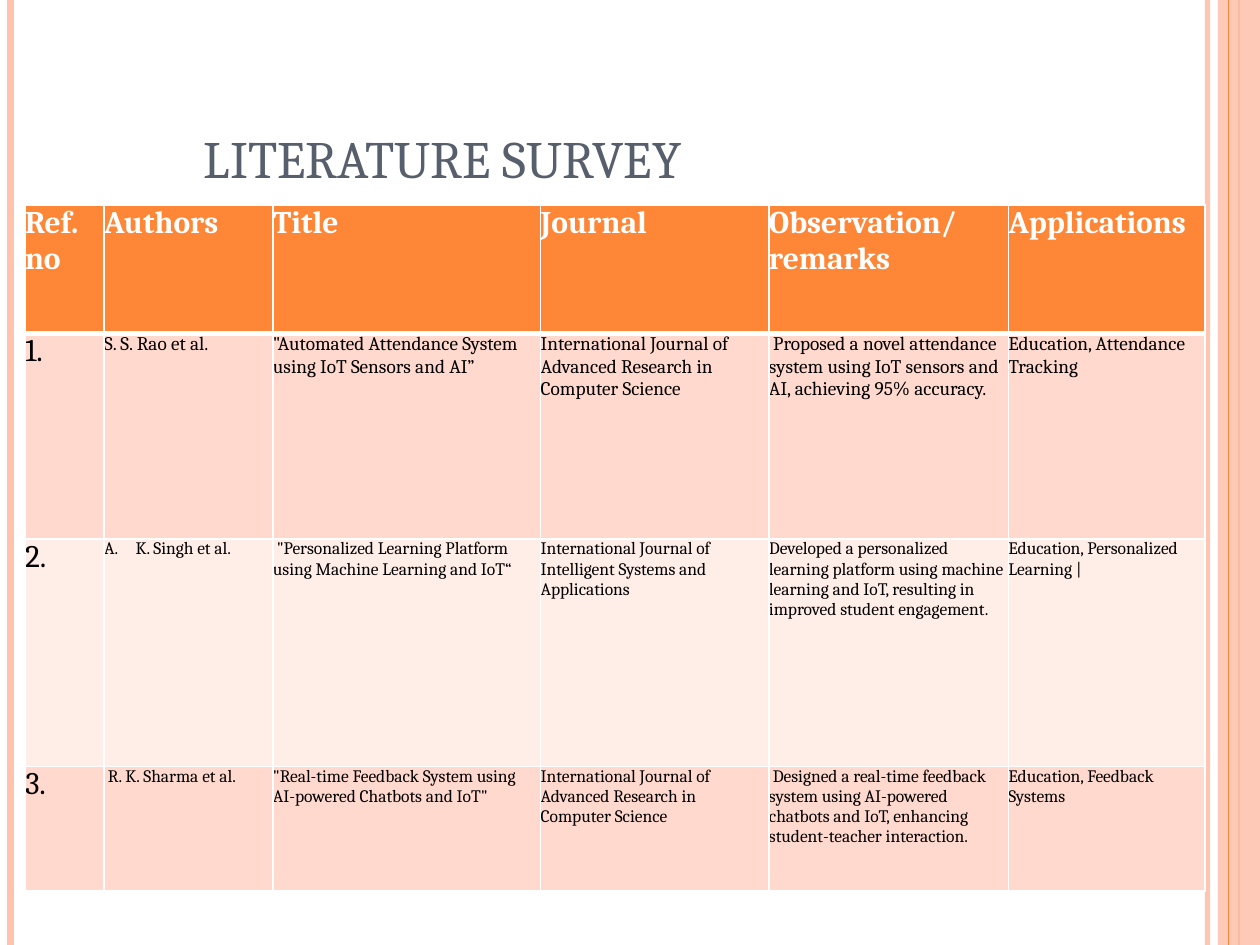
from lxml import etree
from pptx import Presentation
from pptx import util as u
from pptx.dml.color import RGBColor
from pptx.enum import shapes, text
from pptx.oxml.ns import qn

ORANGE = RGBColor(0xFE, 0x86, 0x37)
PEACH = RGBColor(0xFE, 0xC2, 0xAD)
ROSE = RGBColor(0xFF, 0xD9, 0xCD)
BLUSH = RGBColor(0xFF, 0xED, 0xE7)
SLATE = RGBColor(0x57, 0x5F, 0x6D)
WHITE = RGBColor(0xFF, 0xFF, 0xFF)
BLACK = RGBColor(0, 0, 0)

WIDTH, HEIGHT = 720, 540
COLUMNS = [45.2, 96.5, 153, 130.5, 136.8, 112.4]
ROWS = [73.5, 117.6, 130, 71.2]
BODY_SIZES = [11, 10, 10]
BODY_FILLS = [ROSE, BLUSH, ROSE]
HEADINGS = ["Ref.\nno", "Authors", "Title", "Journal",
            "Observation/remarks", "Applications"]
STUDIES = [
    ["1.", "S. S. Rao et al.",
     "\"Automated Attendance System using IoT Sensors and AI”",
     "International Journal of Advanced Research in Computer Science",
     " Proposed a novel attendance system using IoT sensors and AI, achieving 95% accuracy.",
     "Education, Attendance Tracking"],
    ["2.", "K. Singh et al.",
     " \"Personalized Learning Platform using Machine Learning and IoT“",
     "International Journal of Intelligent Systems and Applications",
     "Developed a personalized learning platform using machine learning and IoT, "
     "resulting in improved student engagement.",
     "Education, Personalized Learning |"],
    ["3.", " R. K. Sharma et al.",
     "\"Real-time Feedback System using AI-powered Chatbots and IoT\"",
     "International Journal of Advanced Research in Computer Science",
     " Designed a real-time feedback system using AI-powered chatbots and IoT, "
     "enhancing student-teacher interaction.",
     "Education, Feedback Systems"],
]


def write(frame, wording, size=10, color=BLACK, bold=False, font="Cambria", lettered=False):
    for index, line in enumerate(wording.split("\n")):
        paragraph = frame.add_paragraph() if index else frame.paragraphs[0]
        if lettered:
            properties = paragraph._p.get_or_add_pPr()
            properties.set("marL", str(u.Pt(18)))
            properties.set("indent", str(u.Pt(-18)))
            etree.SubElement(properties, qn("a:buAutoNum"), type="alphaUcPeriod")
        run = paragraph.add_run()
        run.text = line
        run.font.name = font
        run.font.size = u.Pt(size)
        run.font.bold = bold
        run.font.color.rgb = color


def set_opacity(element, percent):
    color = next(element.iter(qn("a:srgbClr")))
    etree.SubElement(color, qn("a:alpha"), val=str(percent * 1000))


class SlideBuilder:
    def __init__(self, slide, border=WHITE):
        self.slide = slide
        self.border = border

    def rule(self, x, color, weight, opacity=100):
        rule = self.slide.shapes.add_connector(
            shapes.MSO_CONNECTOR.STRAIGHT, u.Pt(x), 0, u.Pt(x), u.Pt(HEIGHT))
        rule.line.color.rgb = color
        rule.line.width = u.Pt(weight)
        etree.SubElement(rule._element.spPr, qn("a:effectLst"))
        if opacity < 100:
            set_opacity(rule._element.spPr, opacity)

    def band(self, left, width, color, opacity):
        band = self.slide.shapes.add_shape(
            shapes.MSO_SHAPE.RECTANGLE, u.Pt(left), 0, u.Pt(width), u.Pt(HEIGHT))
        band.shadow.inherit = False
        band.fill.solid()
        band.fill.fore_color.rgb = color
        band.line.fill.background()
        set_opacity(band._element.spPr, opacity)

    def title(self, wording, left, top, width, height):
        frame = self.slide.shapes.add_textbox(
            u.Pt(left), u.Pt(top), u.Pt(width), u.Pt(height)).text_frame
        frame.word_wrap = True
        frame.vertical_anchor = text.MSO_ANCHOR.BOTTOM
        write(frame, wording, size=30, color=SLATE)

    def cell_borders(self, cell, top, bottom):
        properties = cell._tc.get_or_add_tcPr()
        for side, weight in (("L", 1), ("R", 1), ("T", top), ("B", bottom)):
            line = etree.SubElement(properties, qn(f"a:ln{side}"), w=str(u.Pt(weight)))
            fill = etree.SubElement(line, qn("a:solidFill"))
            etree.SubElement(fill, qn("a:srgbClr"), val=str(self.border))

    def cell(self, cell, wording, fill, top=1, bottom=1, **style):
        cell.margin_left = cell.margin_right = cell.margin_top = cell.margin_bottom = 0
        self.cell_borders(cell, top, bottom)
        cell.fill.solid()
        cell.fill.fore_color.rgb = fill
        write(cell.text_frame, wording, **style)

    def survey_table(self, left, top):
        survey = self.slide.shapes.add_table(
            len(ROWS), len(COLUMNS), u.Pt(left), u.Pt(top),
            u.Pt(sum(COLUMNS)), u.Pt(sum(ROWS))).table
        survey.horz_banding = False
        for column, width in zip(survey.columns, COLUMNS):
            column.width = u.Pt(width)
        for row, height in zip(survey.rows, ROWS):
            row.height = u.Pt(height)
        for column, heading in enumerate(HEADINGS):
            self.cell(survey.cell(0, column), heading, ORANGE, bottom=3,
                      size=18, color=WHITE, bold=True)
        bodies = zip(STUDIES, BODY_SIZES, BODY_FILLS)
        for row, (study, size, fill) in enumerate(bodies, start=1):
            for column, wording in enumerate(study):
                self.cell(survey.cell(row, column), wording, fill,
                          top=3 if row == 1 else 1,
                          size=size if column else 18,
                          lettered=(row, column) == (2, 1))


def main():
    deck = Presentation()
    deck.slide_width, deck.slide_height = u.Pt(WIDTH), u.Pt(HEIGHT)
    builder = SlideBuilder(deck.slides.add_slide(deck.slide_layouts[6]))
    builder.rule(690, PEACH, 3, opacity=93)
    builder.rule(6, PEACH, 4.5)
    builder.rule(708, ORANGE, 1.5)
    builder.band(696, 24, PEACH, opacity=87)
    builder.rule(702, ORANGE, 0.75)
    builder.title("LITERATURE SURVEY", 109.5, 21.6, 514.5, 90)
    builder.survey_table(14.3, 117)
    deck.save("out.pptx")


if __name__ == "__main__":
    main()
